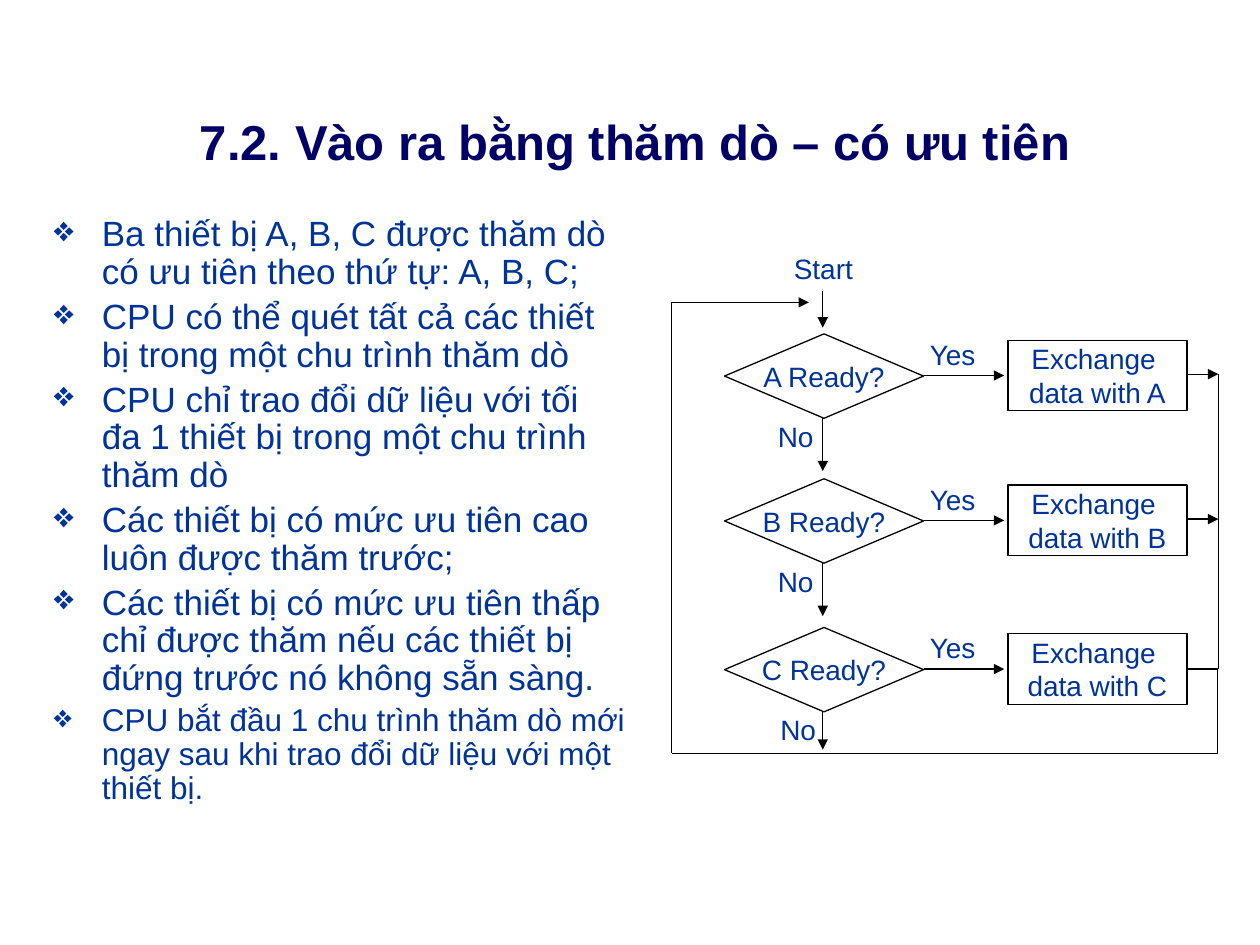
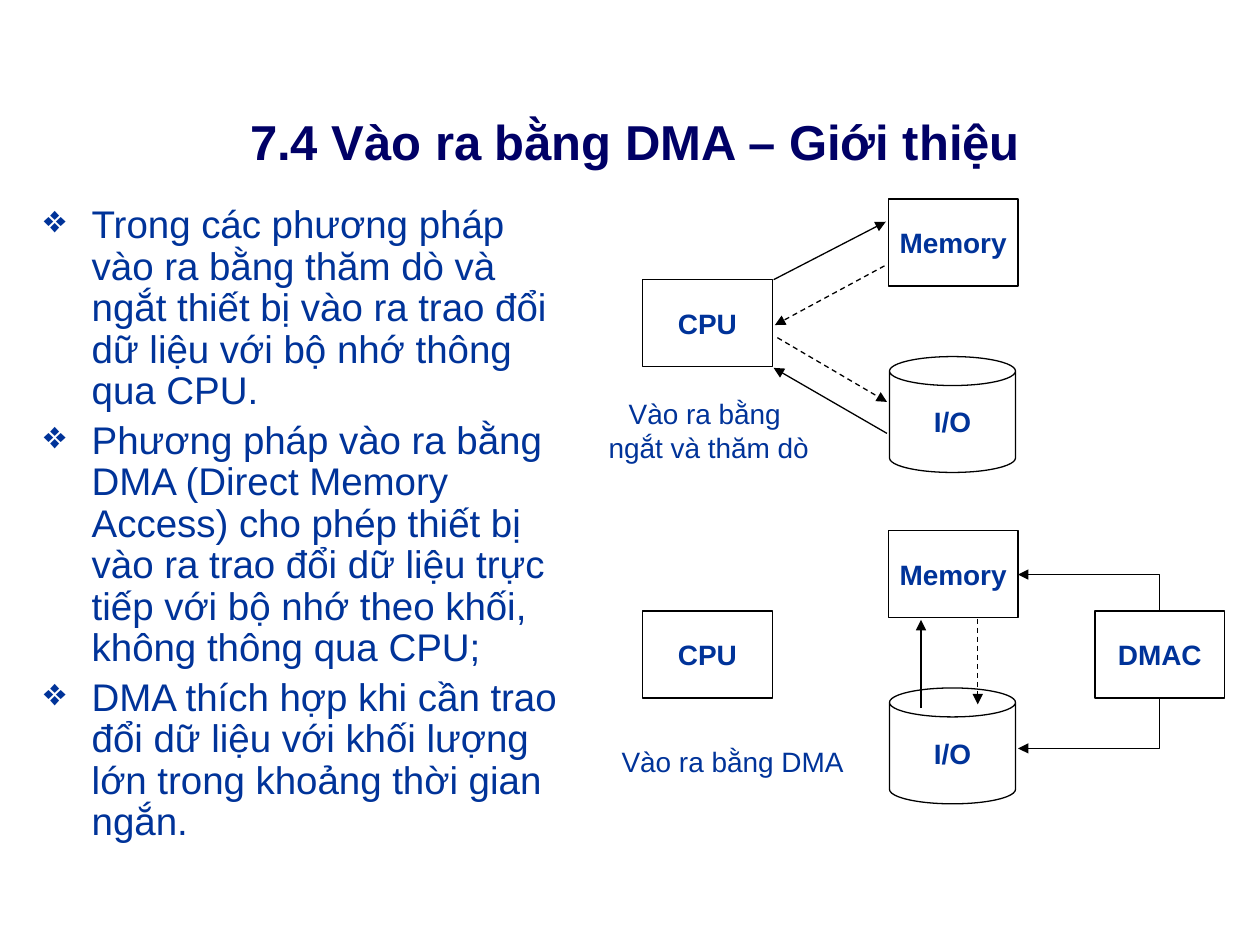
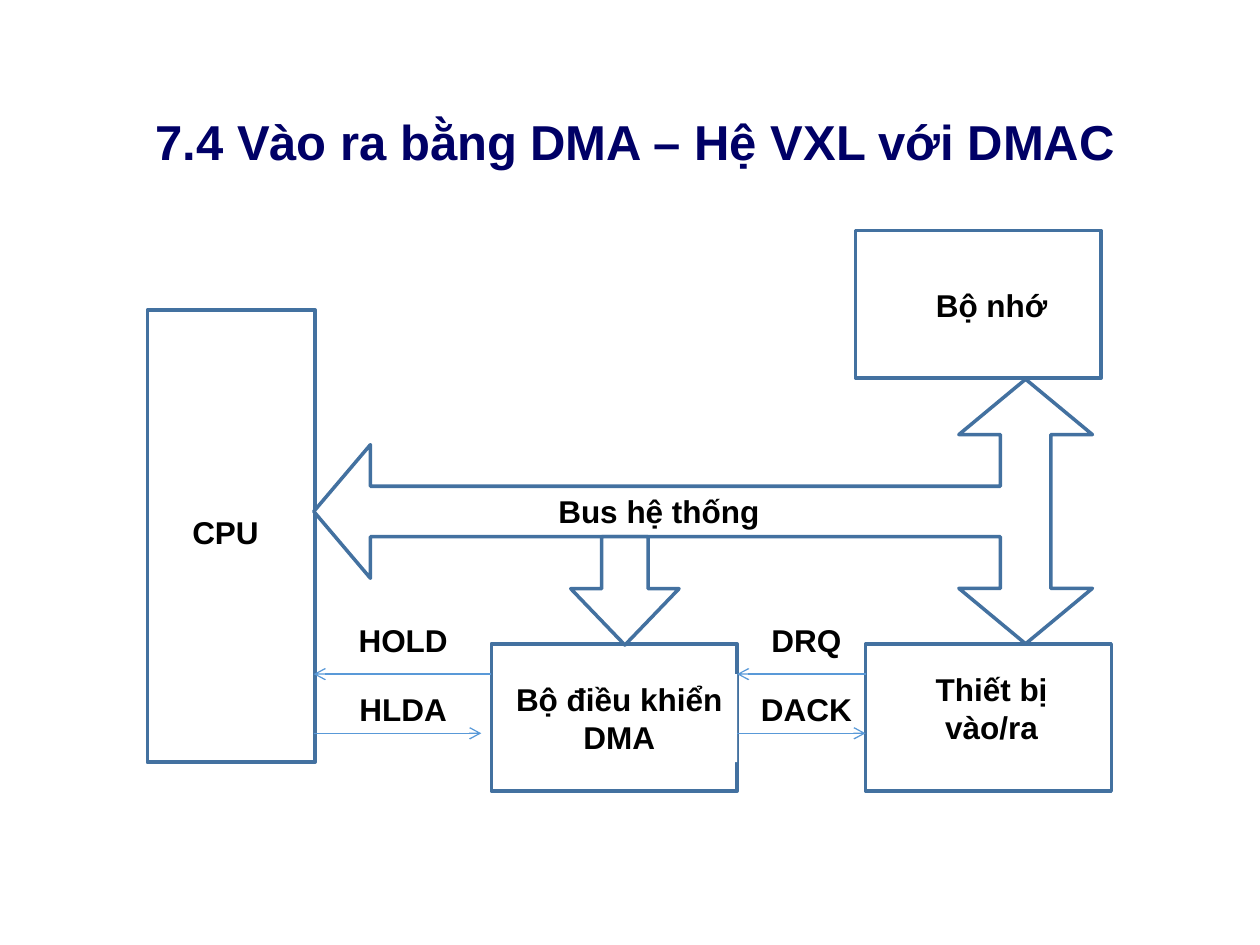
from lxml.etree import SubElement
from pptx import Presentation
from pptx.dml.color import RGBColor
from pptx.enum.dml import MSO_LINE
from pptx.enum.shapes import MSO_CONNECTOR as Link, MSO_SHAPE as Shape
from pptx.enum.text import MSO_ANCHOR as Anchor, MSO_AUTO_SIZE as AutoSize, PP_ALIGN as Align
from pptx.oxml.ns import qn
from pptx.util import Inches, Pt

FONT = "Arial"
NAVY, BLUE, BLACK, WHITE = "000066", "003399", "000000", "FFFFFF"
STEEL, SKY = "4371A0", "5999D8"


def color(hex_text):
    return RGBColor.from_string(hex_text)


class Deck:
    """Holds the shared style and the slide being built."""

    def __init__(self):
        self.prs = Presentation()
        self.prs.slide_width, self.prs.slide_height = Inches(10), Inches(7.5)
        self.slide = None

    def new_slide(self, heading):
        self.slide = self.prs.slides.add_slide(self.prs.slide_layouts[5])
        title = self.slide.shapes.title
        title.left, title.top = Inches(0.25), Inches(0.83)
        title.width, title.height = Inches(9.58), Inches(0.57)
        self.set_text(title, heading, 28, NAVY, bold=True)

    def set_text(self, shape, text, size, ink, bold=False, wrap=True,
                 anchor=Anchor.MIDDLE, align=Align.CENTER):
        frame = shape.text_frame
        frame.auto_size = AutoSize.NONE
        frame.word_wrap, frame.vertical_anchor = wrap, anchor
        paragraph = frame.paragraphs[0]
        paragraph.text, paragraph.alignment = text, align
        self.style_runs(paragraph, size, ink, bold)

    def style_runs(self, paragraph, size, ink, bold=False):
        for run in paragraph.runs:
            run.font.name, run.font.size, run.font.bold = FONT, Pt(size), bold
            run.font.color.rgb = color(ink)

    def bullets(self, left, top, width, height, items):
        body = self.slide.shapes.add_textbox(*map(Inches, (left, top, width, height)))
        frame = body.text_frame
        frame.word_wrap = True
        for index, (text, size) in enumerate(items):
            paragraph = frame.add_paragraph() if index else frame.paragraphs[0]
            paragraph.text = text
            paragraph.line_spacing, paragraph.space_before = 0.9, Pt(size * 0.2)
            self.style_runs(paragraph, size, BLUE)
            props = paragraph._p.get_or_add_pPr()
            props.set("marL", str(Inches(0.38)))
            props.set("indent", str(Inches(-0.38)))
            SubElement(SubElement(props, qn("a:buClr")), qn("a:srgbClr"), val=BLUE)
            SubElement(props, qn("a:buChar"), char="❖")

    def label(self, left, top, width, height, text, size=16, ink=BLUE, **style):
        box = self.slide.shapes.add_textbox(*map(Inches, (left, top, width, height)))
        self.set_text(box, text, size, ink, **{"wrap": False, **style})

    def paint(self, shape, fill, line, weight):
        shape.shadow.inherit = False
        if fill:
            shape.fill.solid()
            shape.fill.fore_color.rgb = color(fill)
        else:
            shape.fill.background()
        if line:
            shape.line.color.rgb, shape.line.width = color(line), Pt(weight)
        else:
            shape.line.fill.background()

    def node(self, kind, left, top, width, height, text, bold=False):
        """Thin black flowchart outline with blue text."""
        shape = self.slide.shapes.add_shape(kind, *map(Inches, (left, top, width, height)))
        self.paint(shape, None, BLACK, 0.75)
        self.set_text(shape, text, 16, BLUE, bold, wrap=False)

    def block(self, kind, left, top, width, height, line=STEEL):
        """White shape with a steel outline."""
        shape = self.slide.shapes.add_shape(kind, *map(Inches, (left, top, width, height)))
        self.paint(shape, WHITE, line, 2)
        return shape

    def outline(self, points):
        start, *rest = [(Inches(x), Inches(y)) for x, y in points]
        builder = self.slide.shapes.build_freeform(*start)
        builder.add_line_segments(rest, close=True)
        self.paint(builder.convert_to_shape(), WHITE, STEEL, 2)

    def line(self, begin, end, ink=BLACK, head="triangle", dashed=False, kind=Link.STRAIGHT):
        link = self.slide.shapes.add_connector(kind, *map(Inches, (*begin, *end)))
        link.line.color.rgb, link.line.width = color(ink), Pt(0.75)
        if dashed:
            link.line.dash_style = MSO_LINE.DASH
        props = link._element.spPr
        if head:
            SubElement(props.find(qn("a:ln")), qn("a:tailEnd"), type=head)
        SubElement(props, qn("a:effectLst"))
        return link

    def elbow(self, begin, end, quarter_turns=0, bend=None, head="triangle"):
        """Bent connector: one corner, or two corners when bend is given."""
        mid_x, mid_y = (begin[0] + end[0]) / 2, (begin[1] + end[1]) / 2
        dx, dy = begin[0] - mid_x, begin[1] - mid_y
        for _ in range(quarter_turns):
            dx, dy = dy, -dx
        link = self.line((mid_x + dx, mid_y + dy), (mid_x - dx, mid_y - dy),
                         head=head, kind=Link.ELBOW)
        props = link._element.spPr
        if quarter_turns:
            props.find(qn("a:xfrm")).set("rot", str(quarter_turns * 5400000))
        geometry = props.find(qn("a:prstGeom"))
        if bend is None:
            geometry.set("prst", "bentConnector2")
        else:
            guides = geometry.find(qn("a:avLst"))
            if guides is None:
                guides = SubElement(geometry, qn("a:avLst"))
            SubElement(guides, qn("a:gd"), name="adj1", fmla=f"val {round(bend * 100000)}")


def polling_slide(deck):
    deck.new_slide("7.2. Vào ra bằng thăm dò – có ưu tiên")
    deck.bullets(0.33, 1.67, 4.75, 5.03, [
        ("Ba thiết bị A, B, C được thăm dò có ưu tiên theo thứ tự: A, B, C;", 20),
        ("CPU có thể quét tất cả các thiết bị trong một chu trình thăm dò", 20),
        ("CPU chỉ trao đổi dữ liệu với tối đa 1 thiết bị trong một chu trình thăm dò", 20),
        ("Các thiết bị có mức ưu tiên cao luôn được thăm trước;", 20),
        ("Các thiết bị có mức ưu tiên thấp chỉ được thăm nếu các thiết bị "
         "đứng trước nó không sẵn sàng.", 20),
        ("CPU bắt đầu 1 chu trình thăm dò mới ngay sau khi trao đổi dữ liệu với một thiết bị.", 18),
    ])

    # Start
    axis, return_x = 6.53, 9.67
    deck.label(6.16, 1.92, 0.75, 0.42, "Start")
    deck.line((axis, 2.31), (axis, 2.6))

    # One row per device: test, exchange, next
    for device, top, no_left, exit_y in (
            ("A", 2.65, 6.05, 3.74), ("B", 3.8, 6.05, 4.89), ("C", 4.98, 6.07, 5.95)):
        middle = top + 0.33
        deck.node(Shape.DIAMOND, 5.75, top, 1.58, 0.67, f"{device} Ready?")
        deck.node(Shape.RECTANGLE, 8, top + 0.05, 1.42, 0.56, f"Exchange \ndata with {device}")
        deck.line((7.33, middle), (7.97, middle))
        deck.line((axis, top + 0.67), (axis, exit_y))
        deck.label(7.25, top - 0.05, 0.62, 0.42, "Yes")
        deck.label(no_left, top + 0.6, 0.53, 0.42, "No")

    # Return loop
    deck.elbow((9.42, 5.31), (5.33, 5.98), bend=-0.06, head=None)
    deck.elbow((5.33, 5.98), (6.42, 2.4), quarter_turns=3, bend=1)
    for y in (2.97, 4.12):
        deck.line((9.41, y), (return_x, y))
    deck.line((return_x, 2.97), (return_x, 5.31), head=None)


def dma_intro_slide(deck):
    deck.new_slide("7.4 Vào ra bằng DMA – Giới thiệu")
    deck.bullets(0.25, 1.58, 4.37, 5.12, [(text, 22) for text in (
        "Trong các phương pháp vào ra bằng thăm dò và ngắt thiết bị vào ra "
        "trao đổi dữ liệu với bộ nhớ thông qua CPU.",
        "Phương pháp vào ra bằng DMA (Direct Memory Access) cho phép thiết bị vào ra "
        "trao đổi dữ liệu trực tiếp với bộ nhớ theo khối, không thông qua CPU;",
        "DMA thích hợp khi cần trao đổi dữ liệu với khối lượng lớn trong khoảng thời gian ngắn.",
    )])

    # The same three units in both schemes
    for top, left, caption in ((1.58, 4.71, "Vào ra bằng \nngắt và thăm dò"),
                               (4.21, 4.9, "Vào ra bằng DMA")):
        deck.node(Shape.RECTANGLE, 5.1, top + 0.64, 1.03, 0.69, "CPU", bold=True)
        deck.node(Shape.RECTANGLE, 7.05, top, 1.03, 0.69, "Memory", bold=True)
        deck.node(Shape.CAN, 7.06, top + 1.25, 1, 0.92, "I/O", bold=True)
        deck.label(left, top + 1.49, 1.83, 0.69, caption)

    # Transfers through the CPU
    deck.line((7.04, 3.44), (6.14, 2.92))
    deck.line((6.14, 2.22), (7.03, 1.76))
    deck.line((7.02, 2.11), (6.15, 2.58), dashed=True)
    deck.line((6.17, 2.68), (7.04, 3.19), dashed=True)

    # Direct transfers under DMAC control
    deck.line((7.31, 5.62), (7.31, 4.92))
    deck.line((7.76, 4.91), (7.76, 5.59), dashed=True)
    deck.node(Shape.RECTANGLE, 8.69, 4.85, 1.03, 0.69, "DMAC", bold=True)
    deck.elbow((9.2, 4.85), (8.08, 4.56), quarter_turns=1)
    deck.elbow((9.2, 5.54), (8.08, 5.94), quarter_turns=1)


def dmac_system_slide(deck):
    deck.new_slide("7.4 Vào ra bằng DMA – Hệ VXL với DMAC")
    caption = dict(size=18, ink=BLACK, bold=True, wrap=True, anchor=Anchor.TOP)

    # CPU
    deck.block(Shape.RECTANGLE, 1.17, 2.46, 1.33, 3.59)
    deck.label(1.32, 4.02, 0.94, 0.4, "CPU", **caption)

    # Memory, I/O device and DMA controller, each with a white caption plate
    for left, top, plate, text in (
            (6.79, 1.83, (7.18, 2.22, 1.38, 0.4), "Bộ nhớ"),
            (6.87, 5.11, (7.18, 5.27, 1.38, 0.7), "Thiết bị vào/ra"),
            (3.9, 5.11, (3.98, 5.35, 1.87, 0.7), "Bộ điều khiển DMA")):
        deck.block(Shape.RECTANGLE, left, top, 1.95, 1.17)
        deck.set_text(deck.block(Shape.RECTANGLE, *plate, line=None), text, **caption)

    # Handshake signals
    for begin_x, end_x, y in ((3.9, 2.49, 5.35), (6.87, 5.85, 5.35),
                              (2.49, 3.82, 5.82), (5.85, 6.87, 5.82)):
        deck.line((begin_x, y), (end_x, y), SKY, head="arrow")
    for left, top, signal in ((2.73, 4.88, "HOLD"), (2.73, 5.43, "HLDA"),
                              (5.93, 4.88, "DRQ"), (5.93, 5.43, "DACK")):
        deck.label(left, top, 0.94, 0.4, signal, **caption)

    # System bus: a three-headed arrow, mirrored about its horizontal axis
    bus_y = 4.06
    upper = [(2.49, 0), (2.94, 0.53), (2.94, 0.2), (7.94, 0.2), (7.94, 0.61),
             (7.61, 0.61), (8.14, 1.05), (8.67, 0.61), (8.34, 0.61)]
    deck.outline([(x, bus_y - rise) for x, rise in upper]
                 + [(x, bus_y + rise) for x, rise in reversed(upper[1:])])
    branch = deck.block(Shape.DOWN_ARROW, 4.53, 4.26, 0.86, 0.86)
    branch.adjustments[0], branch.adjustments[1] = 0.43, 0.52
    deck.label(3.51, 3.86, 3.44, 0.4, "Bus hệ thống", **caption)


def main():
    deck = Deck()
    polling_slide(deck)
    dma_intro_slide(deck)
    dmac_system_slide(deck)
    deck.prs.save("out.pptx")


if __name__ == "__main__":
    main()
